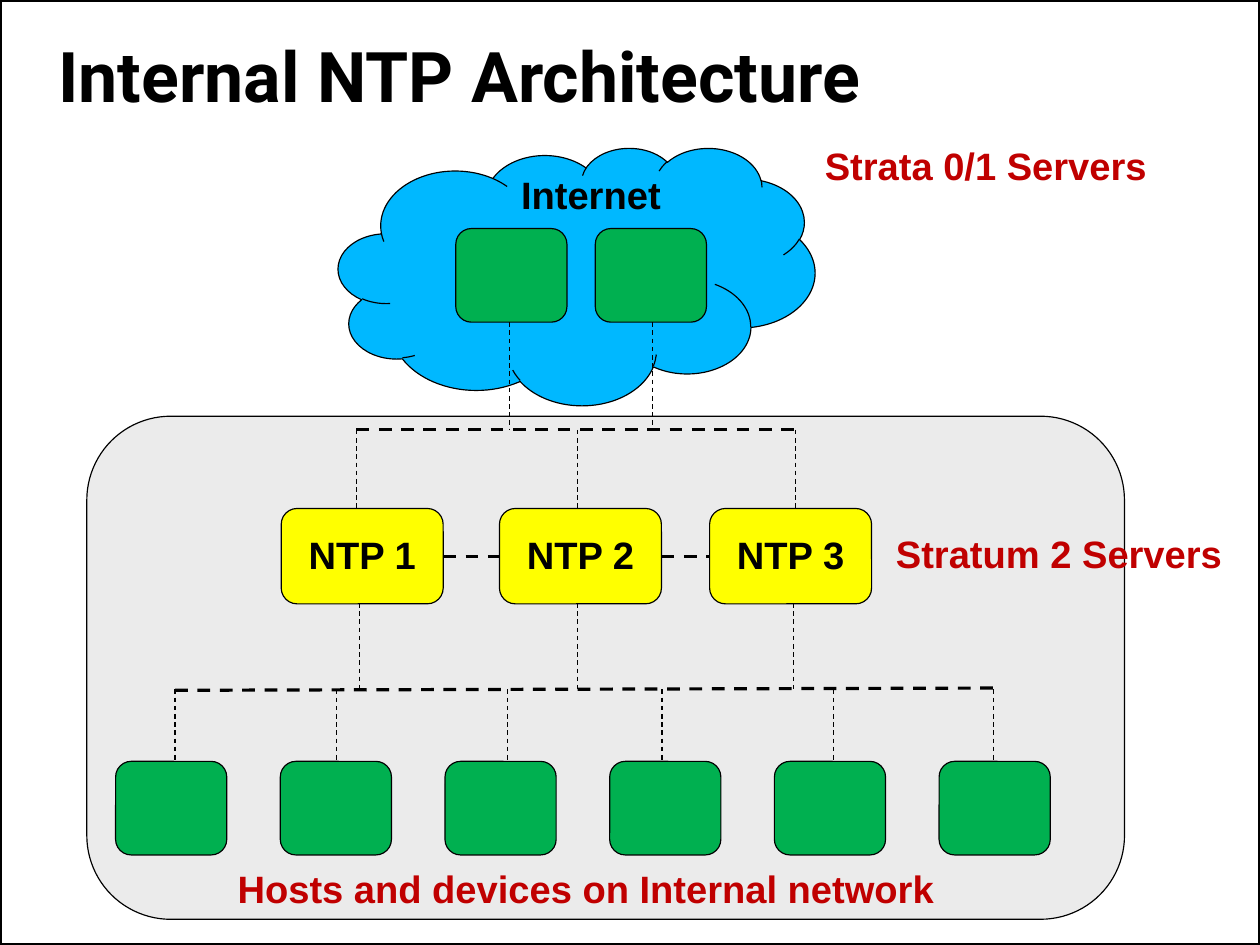
from dataclasses import dataclass
from pptx import Presentation
from pptx.dml.color import RGBColor
from pptx.enum.dml import MSO_LINE
from pptx.enum.shapes import MSO_CONNECTOR, MSO_SHAPE
from pptx.enum.text import MSO_ANCHOR, PP_ALIGN
from pptx.oxml.ns import qn
from pptx.util import Cm, Pt
from lxml import etree

STRAIGHT = MSO_CONNECTOR.STRAIGHT
RECT, ROUNDED, CLOUD = MSO_SHAPE.RECTANGLE, MSO_SHAPE.ROUNDED_RECTANGLE, MSO_SHAPE.CLOUD
DASH = MSO_LINE.DASH
MIDDLE, CENTER, LEFT = MSO_ANCHOR.MIDDLE, PP_ALIGN.CENTER, PP_ALIGN.LEFT
LEFT_SITE, RIGHT_SITE = 1, 3


@dataclass(frozen=True)
class Theme:
    white: str = "FFFFFF"
    black: str = "000000"
    panel: str = "EBEBEB"
    internet: str = "00B8FF"
    server: str = "FFFF00"
    device: str = "00B050"
    caption: str = "C00000"
    title_font: str = "Roboto"
    body_font: str = "Arial"
    title_size: int = 44
    body_size: int = 24
    frame: float = 2.83
    bus: float = 2
    thin: float = 0.75


theme = Theme()
prs = Presentation()
prs.slide_width, prs.slide_height = Cm(28), Cm(21)
slide = prs.slides.add_slide(prs.slide_layouts[6])
shapes = slide.shapes


def add_block(kind, left, top, width, height, fill, line=theme.thin):
    block = shapes.add_shape(kind, Cm(left), Cm(top), Cm(width), Cm(height))
    block.shadow.inherit = False
    block.fill.solid()
    block.fill.fore_color.rgb = RGBColor.from_string(fill)
    block.line.color.rgb = RGBColor.from_string(theme.black)
    block.line.width = Pt(line)
    return block


def write(holder, text, color, size=theme.body_size, font=theme.body_font, align=LEFT):
    paragraph = holder.text_frame.paragraphs[0]
    paragraph.text = text
    paragraph.alignment = align
    paragraph.line_spacing = 0.96
    run_font = paragraph.runs[0].font
    run_font.name, run_font.size, run_font.bold = font, Pt(size), True
    run_font.color.rgb = RGBColor.from_string(color)


add_block(RECT, 0, 0, 28, 21, theme.white, theme.frame)
add_block(ROUNDED, 1.93, 9.25, 23.06, 11.18, theme.panel)

title = shapes.add_textbox(Cm(1.3), 0, Cm(25.2), Cm(3.5))
frame = title.text_frame
frame.word_wrap = True
frame.vertical_anchor = MIDDLE
frame.margin_left = frame.margin_right = frame.margin_top = frame.margin_bottom = 0
write(title, "Internal NTP Architecture", theme.black, theme.title_size, theme.title_font)

add_block(CLOUD, 7.52, 3.28, 10.59, 5.72, theme.internet)

ntp_servers = []
for number, left in enumerate((6.25, 11.1, 15.77), start=1):
    server = add_block(ROUNDED, left, 11.3, 3.6, 2.12, theme.server)
    server.text_frame.vertical_anchor = MIDDLE
    write(server, f"NTP {number}", theme.black, align=CENTER)
    ntp_servers.append(server)

internet_servers = [(10.13 + 3.1 * i, 5.08) for i in range(2)]
hosts = [(2.57 + 3.66 * i, 16.92) for i in range(6)]
for left, top in internet_servers + hosts:
    add_block(ROUNDED, left, top, 2.47, 2.08, theme.device)

upper_bus, lower_bus = 9.55, 15.32
buses = [(7.92, upper_bus, 17.68, upper_bus), (3.89, 15.34, 22.07, 15.29)]
drop_rows = [
    ((11.33, 14.5), 7.16, upper_bus),
    ((7.92, 12.83, 17.68), upper_bus, 11.3),
    ((7.98, 12.83, 17.63), 13.4, lower_bus),
    ((3.89, 7.47, 11.28, 14.71, 18.52, 22.07), lower_bus, 16.92),
]
drops = [(x, top, x, bottom) for xs, top, bottom in drop_rows for x in xs]

links = []
for ends, weight in [(b, theme.bus) for b in buses] + [(d, theme.thin) for d in drops]:
    links.append((shapes.add_connector(STRAIGHT, *map(Cm, ends)), weight))
for server, neighbour in zip(ntp_servers, ntp_servers[1:]):
    peer_link = shapes.add_connector(STRAIGHT, 0, 0, 0, 0)
    peer_link.begin_connect(server, RIGHT_SITE)
    peer_link.end_connect(neighbour, LEFT_SITE)
    links.append((peer_link, theme.bus))
for link, weight in links:
    link.line.color.rgb = RGBColor.from_string(theme.black)
    link.line.width = Pt(weight)
    link.line.dash_style = DASH
    etree.SubElement(link._element.spPr, qn("a:effectLst"))

for text, left, top, width, color in (
    ("Internet", 11.33, 3.76, 3.66, theme.black),
    ("Strata 0/1 Servers", 18.08, 3.1, 7.75, theme.caption),
    ("Stratum 2 Servers", 19.66, 11.73, 7.85, theme.caption),
    ("Hosts and devices on Internal network", 5.03, 19.18, 16.13, theme.caption),
):
    label = shapes.add_textbox(Cm(left), Cm(top), Cm(width), Cm(1.24))
    label.text_frame.word_wrap = False
    write(label, text, color)

prs.save("out.pptx")
